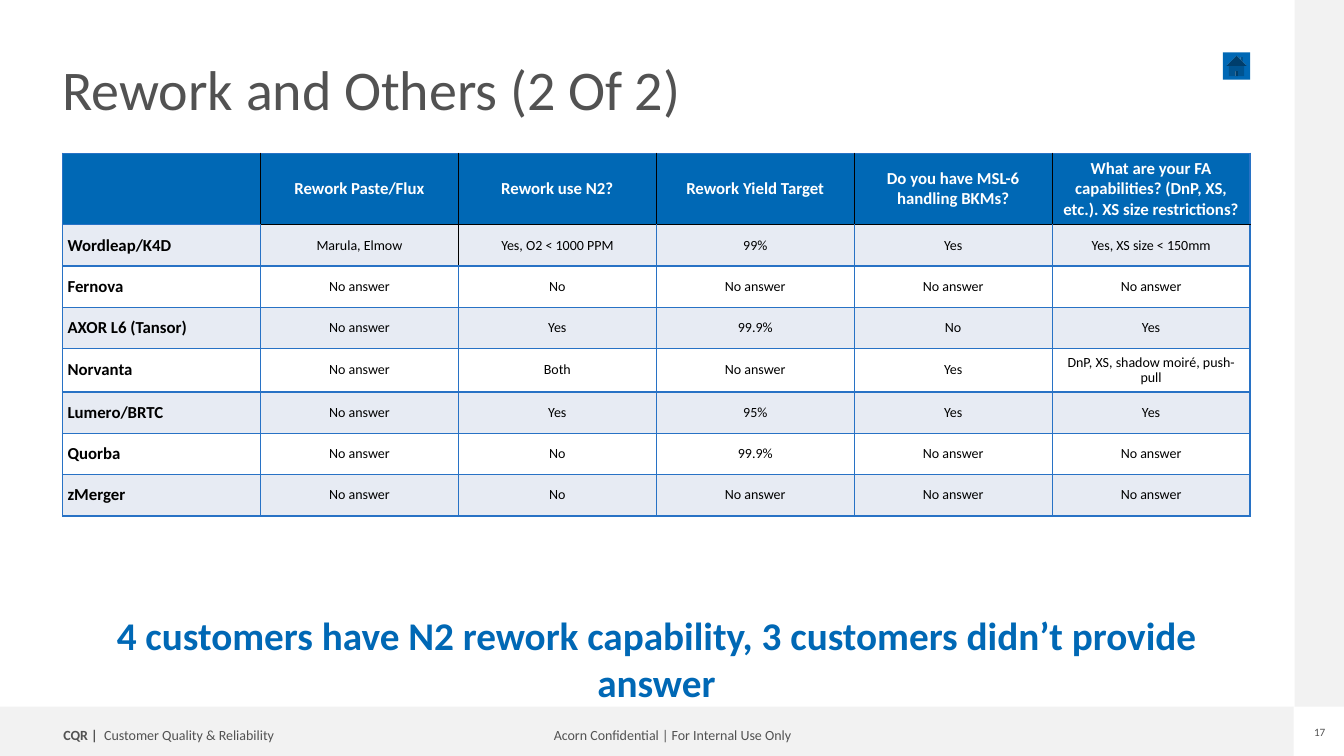
"""Build the rework survey slide with its answer table."""
from lxml import etree
from pptx import Presentation
from pptx.dml.color import RGBColor
from pptx.enum import shapes, text
from pptx.oxml import ns
from pptx.util import Inches, Pt

HUES = {"blue": "0068B5", "edge": "2872C5", "band": "E7EBF3", "grey": "F2F2F2",
        "ink": "525252", "black": "000000", "white": "FFFFFF"}
ALIGN = {"l": text.PP_ALIGN.LEFT, "c": text.PP_ALIGN.CENTER}


def write(frame, *parts, size=10, hue="ink", bold=False, align="l", space=1.0,
          inset=0, wrap=True, anchor=text.MSO_ANCHOR.TOP):
    """Fill a frame with runs; only the first run takes the bold setting."""
    frame.word_wrap = wrap
    frame.vertical_anchor = anchor
    frame.margin_left = frame.margin_right = Inches(inset)
    frame.margin_top = frame.margin_bottom = Inches(inset / 2)
    para = frame.paragraphs[0]
    para.alignment = ALIGN[align]
    para.line_spacing = space
    for i, part in enumerate(parts):
        run = para.add_run()
        run.text = part
        run.font.name = "Calibri"
        run.font.size = Pt(size)
        run.font.bold = bold and i == 0
        run.font.color.rgb = RGBColor.from_string(HUES[hue])


def border(cell, hues):
    """Draw the left, right, top and bottom edges of a cell."""
    props = cell._tc.get_or_add_tcPr()
    for i, (side, hue) in enumerate(zip("LRTB", hues)):
        line = etree.Element(ns.qn(f"a:ln{side}"), w=str(Pt(1)))
        fill = etree.SubElement(line, ns.qn("a:solidFill"))
        etree.SubElement(fill, ns.qn("a:srgbClr"), val=HUES[hue])
        props.insert(i, line)


deck = Presentation()
deck.slide_width, deck.slide_height = Inches(13.33), Inches(7.5)
slide = deck.slides.add_slide(deck.slide_layouts[5])
items = slide.shapes

kinds = shapes.MSO_SHAPE
for kind, spot, hue in [
    (kinds.RECTANGLE, (-0.01, 7.01, 12.84, 0.49), "grey"),
    (kinds.RECTANGLE, (12.84, 0, 0.49, 7.01), "grey"),
    (kinds.ACTION_BUTTON_HOME, (12.13, 0.52, 0.27, 0.27), "blue"),
]:
    shape = items.add_shape(kind, *map(Inches, spot))
    shape.shadow.inherit = False
    shape.fill.solid()
    shape.fill.fore_color.rgb = RGBColor.from_string(HUES[hue])
    shape.line.fill.background()

title = items.title
title.left, title.top = Inches(0.62), Inches(0.62)
title.width, title.height = Inches(12.04), Inches(1.04)
write(title.text_frame, "Rework and Others (2 Of 2)", size=40, space=0.9)
title.text_frame.auto_size = text.MSO_AUTO_SIZE.NONE

for spot, parts, form in [
    ((5.29, 7.18, 2.76, 0.25), ["Acorn Confidential | For Internal Use Only"],
     dict(align="c", space=0.9, inset=0.1, wrap=False)),
    ((0.53, 7.18, 2.54, 0.25), ["CQR | ", " Customer Quality & Reliability"],
     dict(bold=True, space=0.9, inset=0.1, wrap=False)),
    ((13.02, 7.2, 0.14, 0.13), ["17"], dict(size=8, align="c", wrap=False)),
    ((0.62, 6.06, 11.78, 0.94),
     ["4 customers have N2 rework capability, 3 customers didn’t provide answer"],
     dict(size=28, hue="blue", bold=True, align="c")),
]:
    box = items.add_textbox(*map(Inches, spot))
    write(box.text_frame, *parts, **form)

none = "No answer"
rows = [
    ["", "Rework Paste/Flux", "Rework use N2?", "Rework Yield Target",
     "Do you have MSL-6 handling BKMs?",
     "What are your FA capabilities? (DnP, XS, etc.). XS size restrictions?"],
    ["Wordleap/K4D", "Marula, Elmow", "Yes, O2 < 1000 PPM", "99%", "Yes",
     "Yes, XS size < 150mm"],
    ["Fernova", none, "No", none, none, none],
    ["AXOR L6 (Tansor)", none, "Yes", "99.9%", "No", "Yes"],
    ["Norvanta", none, "Both", none, "Yes", "DnP, XS, shadow moiré, push-pull"],
    ["Lumero/BRTC", none, "Yes", "95%", "Yes", "Yes"],
    ["Quorba", none, "No", "99.9%", none, none],
    ["zMerger", none, "No", none, none, none],
]
highs = [0.71, 0.41, 0.41, 0.41, 0.43, 0.41, 0.41, 0.41]
last = len(rows[0]) - 1
grid = items.add_table(len(rows), last + 1, Inches(0.62), Inches(1.52),
                       Inches(11.78), Inches(sum(highs))).table
for col in grid.columns:
    col.width = Inches(11.78 / (last + 1))
for r, row in enumerate(rows):
    grid.rows[r].height = Inches(highs[r])
    for c, words in enumerate(row):
        cell = grid.cell(r, c)
        head, name = r == 0, c == 0
        cell.fill.solid()
        fill = "blue" if head else "band" if r % 2 else "white"
        cell.fill.fore_color.rgb = RGBColor.from_string(HUES[fill])
        dark = [head and c > 0 or (r, c) == (1, 2),
                head and c < last or (r, c) == (1, 1),
                r == 1 and c > 0, head and c > 0]
        border(cell, ["black" if d else "edge" for d in dark])
        cell.vertical_anchor = text.MSO_ANCHOR.MIDDLE
        cell.margin_left = cell.margin_right = Inches(0.05)
        cell.margin_top = cell.margin_bottom = Inches(0.05)
        if words:
            para = cell.text_frame.paragraphs[0]
            para.alignment = ALIGN["l" if name else "c"]
            para.line_spacing = 1.0 if head else 0.9
            run = para.add_run()
            run.text = words
            run.font.name = "Calibri"
            run.font.size = Pt(12 if head or name else 10)
            run.font.bold = head or name
            run.font.color.rgb = RGBColor.from_string(HUES["white" if head else "black"])

deck.save("out.pptx")
